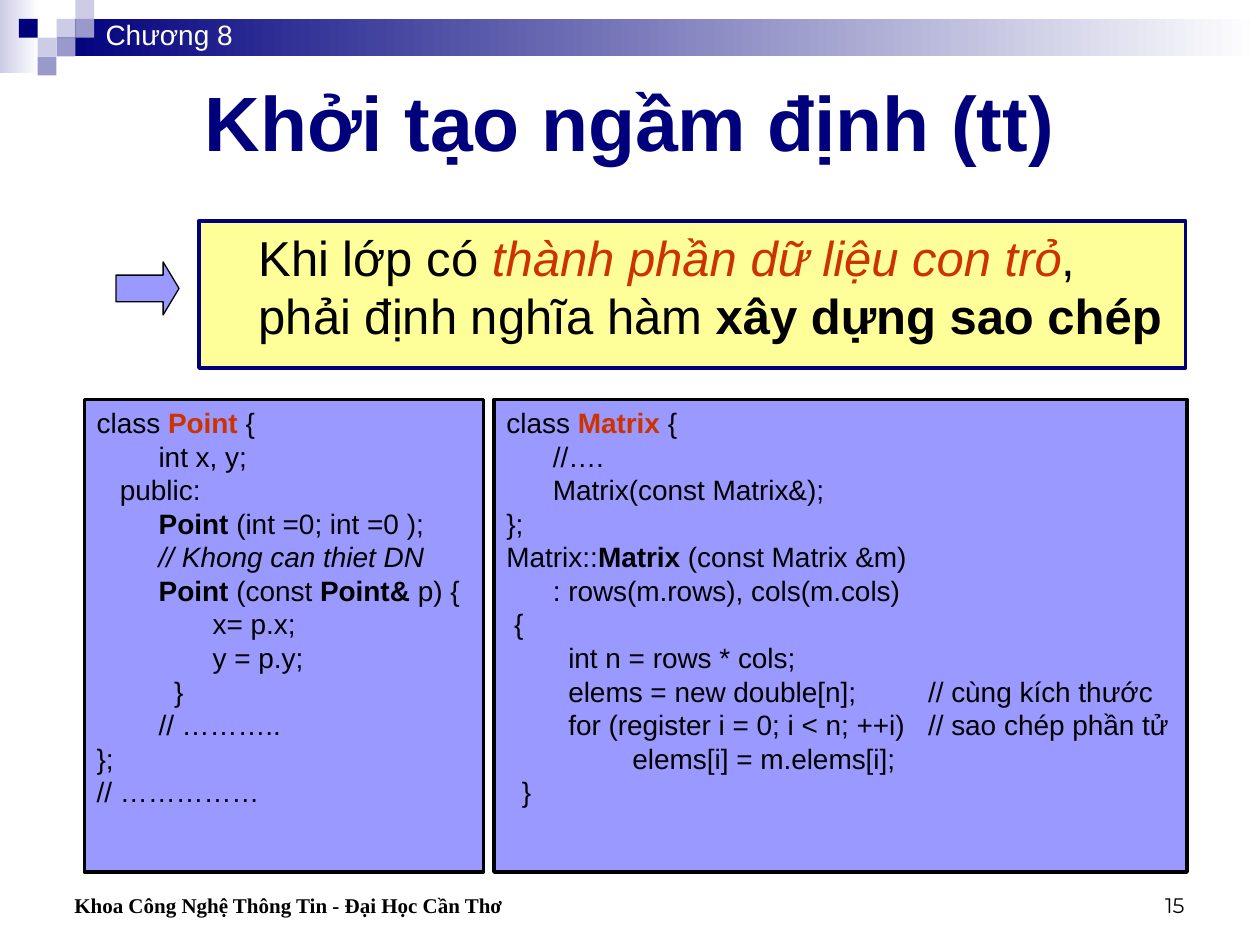
"""Build the slide on implicit initialisation and copy constructors."""
from dataclasses import dataclass

from lxml.etree import SubElement
from pptx import Presentation
from pptx.dml.color import RGBColor as RGB
from pptx.enum.shapes import MSO_SHAPE as SHAPE
from pptx.enum.text import MSO_ANCHOR as ANCHOR, MSO_AUTO_SIZE as AUTO, PP_ALIGN as ALIGN
from pptx.oxml.ns import qn
from pptx.util import Cm, Pt


@dataclass(frozen=True)
class Theme:
    navy: RGB = RGB(0x00, 0x00, 0x7D)
    mist: RGB = RGB(0xCC, 0xCC, 0xE6)
    lilac: RGB = RGB(0x99, 0x99, 0xCC)
    panel: RGB = RGB(0x99, 0x99, 0xFF)
    yellow: RGB = RGB(0xFF, 0xFF, 0x99)
    accent: RGB = RGB(0xCC, 0x33, 0x00)
    black: RGB = RGB(0x00, 0x00, 0x00)
    white: RGB = RGB(0xFF, 0xFF, 0xFF)
    font: str = "Arial"
    title: Pt = Pt(44)
    body: Pt = Pt(28)
    code: Pt = Pt(16)
    footer: Pt = Pt(12)


T = Theme()


def add_box(s, kind, box, fill, line=None, width=0):
    sp = s.shapes.add_shape(kind, *map(Cm, box))
    sp.shadow.inherit = False
    if isinstance(fill, list):
        sp.fill.gradient()
        sp.fill.gradient_angle = 0
        for stop, color in zip(sp.fill.gradient_stops, fill):
            stop.color.rgb = color
    else:
        sp.fill.solid()
        sp.fill.fore_color.rgb = fill
    if line is None:
        sp.line.fill.background()
    else:
        sp.line.color.rgb = line
        sp.line.width = Pt(width)
    return sp


def write(tf, lines, size, color=T.black, font=T.font, align=ALIGN.LEFT, anchor=ANCHOR.TOP):
    tf.word_wrap = True
    tf.auto_size = AUTO.NONE
    tf.vertical_anchor = anchor
    for i, line in enumerate(lines):
        p = tf.paragraphs[0] if i == 0 else tf.add_paragraph()
        p.alignment = align
        p.space_before = Pt(0)
        for text, style in [(line, "")] if isinstance(line, str) else line:
            r = p.add_run()
            r.text = text
            r.font.name, r.font.size = font, size
            r.font.bold, r.font.italic = "b" in style, "i" in style
            r.font.color.rgb = T.accent if "a" in style else color


prs = Presentation()
prs.slide_width, prs.slide_height = Cm(25.4), Cm(19.05)
s = prs.slides.add_slide(prs.slide_layouts[1])

add_box(s, SHAPE.RECTANGLE, (0, 0, 0.79, 1.47), [T.mist, T.white])
add_box(s, SHAPE.RECTANGLE, (1.14, 0.38, 24.26, 0.76), [T.navy, T.white])
UNIT = 0.38
for col, row, color in [(3, 1, T.mist), (4, 0, T.mist), (4, 1, T.lilac), (2, 2, T.mist),
                        (1, 1, T.navy), (3, 2, T.lilac), (2, 3, T.lilac)]:
    add_box(s, SHAPE.RECTANGLE, (col * UNIT, row * UNIT, UNIT, UNIT), color)

title, body = s.shapes.title, s.placeholders[1]
title.left, title.top, title.width, title.height = map(Cm, (1.27, 1.27, 22.86, 2.34))
write(title.text_frame, [[("Khởi tạo ngầm định (tt)", "b")]], T.title, T.navy,
      align=ALIGN.CENTER, anchor=ANCHOR.MIDDLE)

body.left, body.top, body.width, body.height = map(Cm, (4.01, 4.45, 19.89, 2.97))
body.fill.solid()
body.fill.fore_color.rgb = T.yellow
body.line.color.rgb = T.navy
body.line.width = Pt(2)
write(body.text_frame, [[("Khi lớp có ", ""), ("thành phần dữ liệu con trỏ", "ia"),
                         (", phải định nghĩa hàm ", ""), ("xây dựng sao chép", "b")]], T.body)
pPr = body.text_frame.paragraphs[0]._p.get_or_add_pPr()
pPr.set("marL", str(Cm(0.95)))
pPr.set("indent", "0")
SubElement(pPr, qn("a:buNone"))

arrow = add_box(s, SHAPE.RIGHT_ARROW, (2.34, 5.28, 1.27, 1.07), T.panel, T.black, 0.75)
arrow.adjustments[0], arrow.adjustments[1] = 0.5, 0.3

POINT = [
    [("class ", ""), ("Point", "ba"), (" {", "")],
    "        int x, y;",
    "   public:",
    [("        ", ""), ("Point", "b"), (" (int =0; int =0 );", "")],
    [("        ", ""), ("// Khong can thiet DN", "i")],
    [("        ", ""), ("Point", "b"), (" (const ", ""), ("Point&", "b"), (" p) {", "")],
    "               x= p.x;",
    "               y = p.y;",
    "          }",
    "        // ………..",
    "};",
    "// ……………",
]
MATRIX = [
    [("class ", ""), ("Matrix", "ba"), (" {", "")],
    "      //….",
    "      Matrix(const Matrix&);",
    "};",
    [("Matrix::", ""), ("Matrix", "b"), (" (const Matrix &m)", "")],
    "      : rows(m.rows), cols(m.cols)",
    " {",
    "        int n = rows * cols;",
    "        elems = new double[n];\t// cùng kích thước",
    "        for (register i = 0; i < n; ++i)\t// sao chép phần tử",
    "\telems[i] = m.elems[i];",
    "  }",
]
for left, width, code in [(1.7, 8.05, POINT), (9.96, 13.97, MATRIX)]:
    sp = add_box(s, SHAPE.RECTANGLE, (left, 8.05, width, 9.53), T.panel, T.black, 2)
    write(sp.text_frame, code, T.code)
    for p in sp.text_frame.paragraphs:
        if any("\t" in r.text for r in p.runs):
            tabs = SubElement(p._p.get_or_add_pPr(), qn("a:tabLst"))
            for stop in (2.54, 8.5):
                SubElement(tabs, qn("a:tab"), pos=str(Cm(stop)), algn="l")

chapter = s.shapes.add_textbox(*map(Cm, (1.88, 0.23, 4.45, 0.94)))
write(chapter.text_frame, ["Chương 8"], T.code, T.white)

footer = s.shapes.add_textbox(*map(Cm, (0.64, 17.35, 12.27, 1.27)))
write(footer.text_frame, [[("Khoa Công Nghệ Thông Tin - Đại Học Cần Thơ", "b")]], T.footer,
      font="Times New Roman", anchor=ANCHOR.BOTTOM)
footer.text_frame.paragraphs[0]._p.get_or_add_pPr().set("marL", str(Cm(0.61)))

number = s.shapes.add_textbox(*map(Cm, (18.21, 17.35, 5.92, 1.27)))
write(number.text_frame, ["15"], T.footer, font="Montserrat", align=ALIGN.RIGHT,
      anchor=ANCHOR.BOTTOM)

prs.save("out.pptx")
